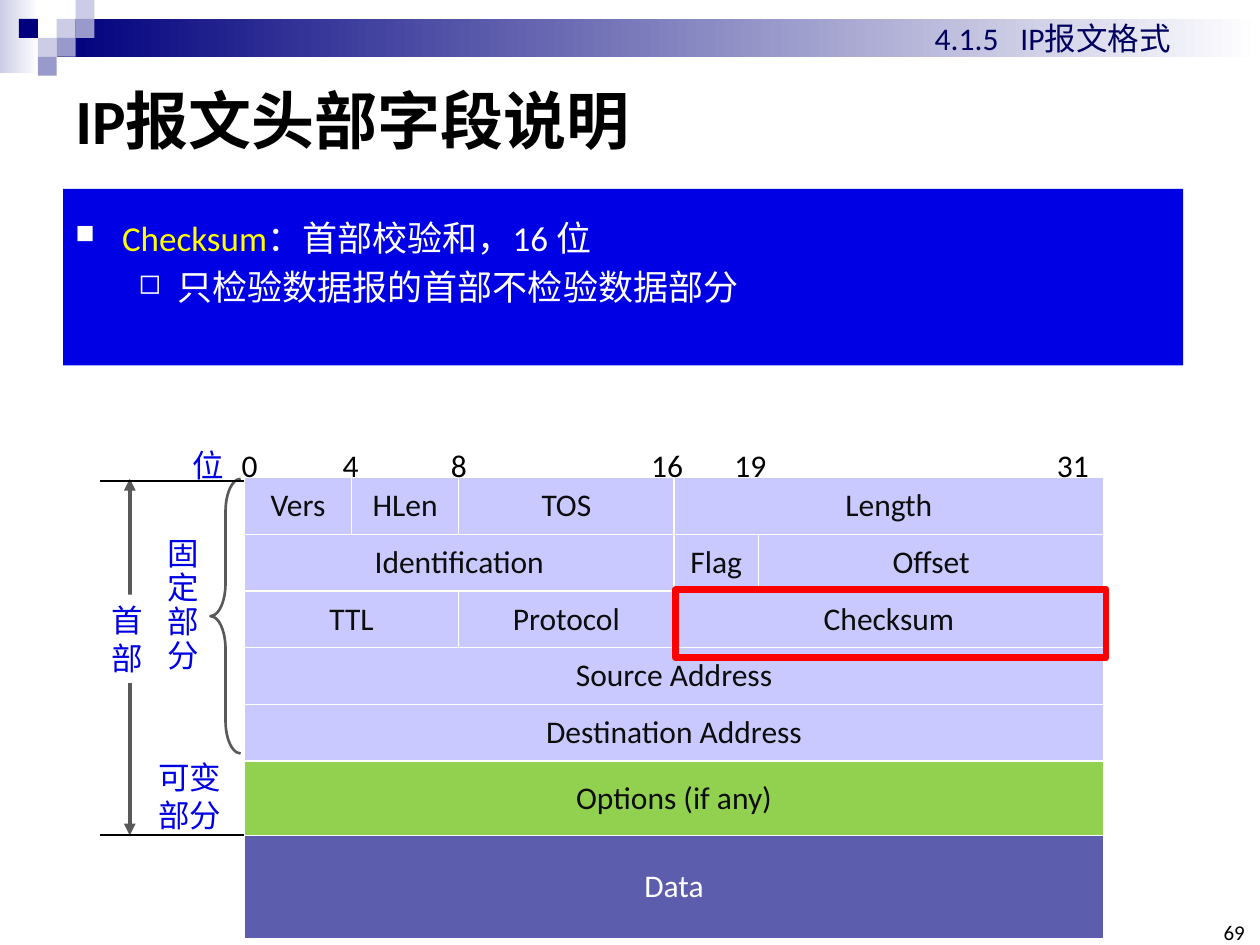
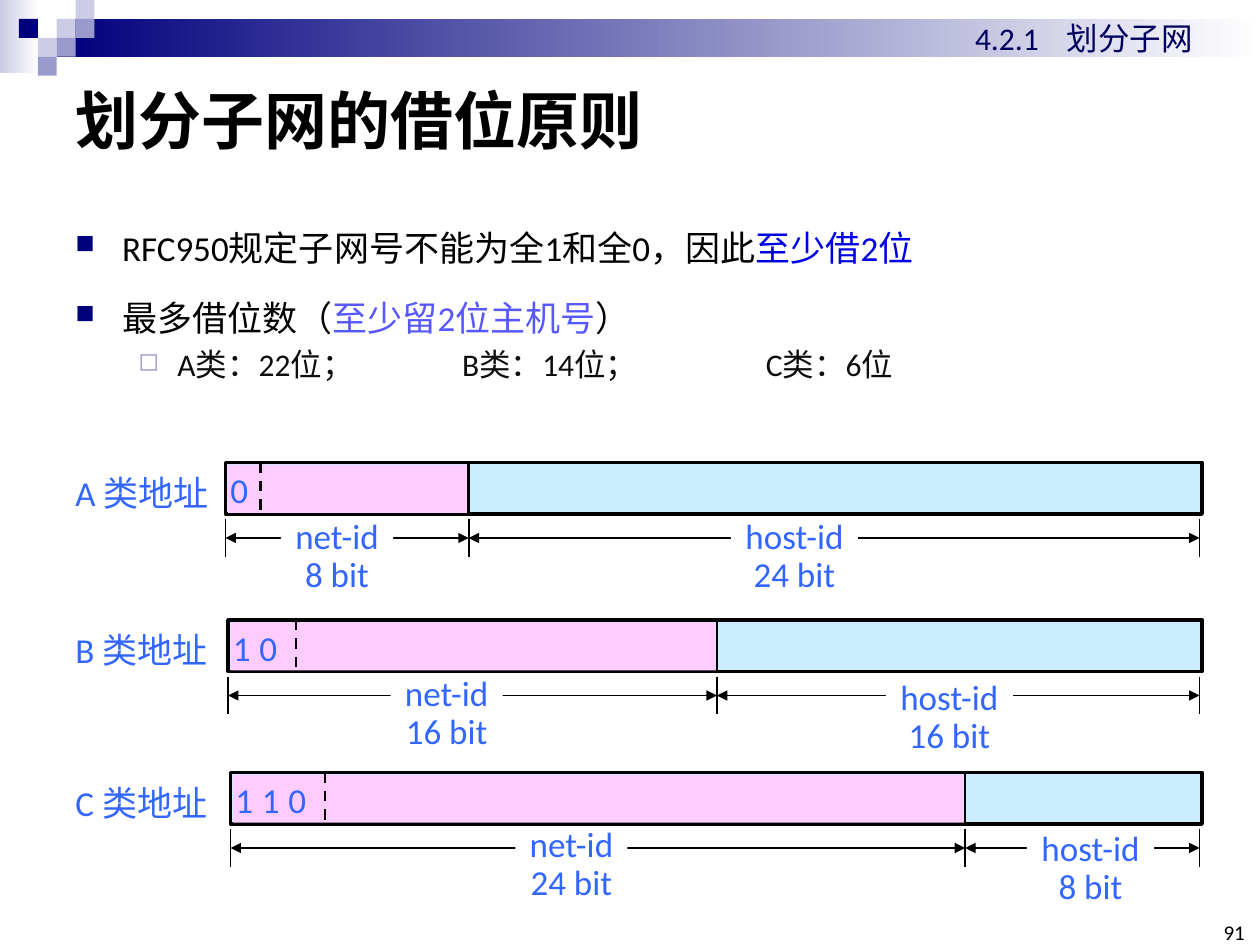
from lxml import etree
from pptx import Presentation
from pptx import util as u
from pptx.dml import color
from pptx.enum import dml, shapes, text
from pptx.oxml import ns

IN = u.Inches
BOX = shapes.MSO_SHAPE.RECTANGLE
MID = text.MSO_ANCHOR.MIDDLE
CENTER = text.PP_ALIGN.CENTER
RIGHT = text.PP_ALIGN.RIGHT
FONT, CJK = "Calibri", "Noto Sans CJK SC"
BLACK, WHITE, NAVY, BLUE = "000000", "FFFFFF", "00007D", "0000E4"
PALE, LILAC, GRAY, INK = "CCCCE6", "9999CC", "595959", "0D0D0D"
FIELD, SKY, PINK, AZURE = "C9C9FF", "CCECFF", "FFCCFF", "3366FF"


def rgb(code):
    return color.RGBColor.from_string(code)


def sub(node, tag, **attrs):
    return etree.SubElement(node, ns.qn("a:" + tag), attrs)


# ---- Basic parts ----
def style(run, size, code, bold=False, face=FONT):
    run.font.size = u.Pt(size)
    run.font.bold = bold
    run.font.color.rgb = rgb(code)
    run.font.name = face
    sub(run._r.get_or_add_rPr(), "ea", typeface=CJK)


def write(frame, lines, size, code, align=None, space=None, **look):
    frame.text = "\n".join(lines)
    for para in frame.paragraphs:
        para.alignment = align
        para.line_spacing = space
        for run in para.runs:
            style(run, size, code, **look)


def label(slide, box, lines, size, code, wrap=False, fill=None,
          anchor=text.MSO_ANCHOR.TOP, inset=None, **look):
    shape = slide.shapes.add_textbox(*map(IN, box))
    frame = shape.text_frame
    frame.word_wrap = wrap
    frame.vertical_anchor = anchor
    if inset is not None:
        frame.margin_left = frame.margin_right = IN(inset)
        frame.margin_top = frame.margin_bottom = IN(inset)
    if fill:
        shape.fill.solid()
        shape.fill.fore_color.rgb = rgb(fill)
    write(frame, lines, size, code, **look)
    return frame


def tabs(para, stops):
    node = sub(para._p.get_or_add_pPr(), "tabLst")
    for stop in stops:
        sub(node, "tab", pos=str(IN(stop)), algn="l")


def block(slide, box, fill=None, line=None, width=1, kind=BOX):
    shape = slide.shapes.add_shape(kind, *map(IN, box))
    shape.shadow.inherit = False
    if fill:
        shape.fill.solid()
        shape.fill.fore_color.rgb = rgb(fill)
    else:
        shape.fill.background()
    if line:
        shape.line.color.rgb = rgb(line)
        shape.line.width = u.Pt(width)
    else:
        shape.line.fill.background()
    return shape


def fade(slide, box, first):
    fill = block(slide, box).fill
    fill.gradient()
    fill.gradient_angle = 0
    for stop, code in zip(fill.gradient_stops, (first, WHITE)):
        stop.color.rgb = rgb(code)


def rule(slide, x1, y1, x2, y2, width=1, code=BLACK, arrows=False, dash=False):
    line = slide.shapes.add_connector(
        shapes.MSO_CONNECTOR.STRAIGHT, IN(x1), IN(y1), IN(x2), IN(y2))
    line.line.color.rgb = rgb(code)
    line.line.width = u.Pt(width)
    if dash:
        line.line.dash_style = dml.MSO_LINE.DASH
    if arrows:
        for end in ("headEnd", "tailEnd"):
            sub(line.line._get_or_add_ln(), end, type="triangle")
    sub(line._element.spPr, "effectLst")


def bullets(frame, items):
    """Each item: level, line spacing, size, [(words, colour)], bullet colour."""
    looks = [("■", 0.37, 0.37, 75), ("◻", 0.81, 0.31, 80)]
    for i, (level, space, size, runs, dot) in enumerate(items):
        para = frame.paragraphs[0] if i == 0 else frame.add_paragraph()
        para.alignment = text.PP_ALIGN.LEFT
        para.level = level
        mark, left, hang, scale = looks[level]
        props = para._p.get_or_add_pPr()
        props.set("marL", str(IN(left)))
        props.set("indent", str(-IN(hang)))
        sub(sub(props, "buClr"), "srgbClr", val=dot)
        sub(props, "buSzPct", val=str(scale * 1000))
        sub(props, "buChar", char=mark)
        para.line_spacing = space
        if i:
            para.space_before = u.Pt(size * 0.2)
        for words, code in runs:
            run = para.add_run()
            run.text = words
            style(run, size, code)


# ---- Shared frame: band, squares, section, title, page number ----
def base(deck, title, section, left, stop, page):
    slide = deck.slides.add_slide(deck.slide_layouts[6])
    fade(slide, (0, 0, 0.31, 0.58), PALE)
    fade(slide, (0.45, 0.15, 9.55, 0.3), NAVY)
    side = 0.15
    for col, row, code in [(3, 1, PALE), (4, 0, PALE), (4, 1, LILAC),
                           (2, 2, PALE), (1, 1, NAVY), (3, 2, LILAC),
                           (2, 3, LILAC)]:
        block(slide, (col * side, row * side, side, side), code)
    label(slide, (0.5, 0.5, 9, 0.89), [title], 36, BLACK, wrap=True,
          anchor=MID, bold=True)
    label(slide, (9.65, 7.33, 0.23, 0.17), [page], 12, BLACK, wrap=True,
          anchor=text.MSO_ANCHOR.BOTTOM, inset=0, align=RIGHT)
    frame = label(slide, (left, 0.1, 9.61 - left, 0.4), [section], 18,
                  "00005E", wrap=True)
    tabs(frame.paragraphs[0], [stop])
    return slide


# ---- Slide 1: header fields ----
def edge(cell):
    props = cell._tc.get_or_add_tcPr()
    for side in ("lnL", "lnR", "lnT", "lnB"):
        line = sub(props, side, w=str(u.Pt(1)))
        sub(sub(line, "solidFill"), "srgbClr", val=WHITE)


def fields(slide, x, y):
    cols = [0.85, 0.85, 1.71, 0.67, 2.74]
    highs = [0.45] * 5 + [0.59, 0.82]
    # Each row lists its words and the columns they span
    rows = [
        [("Vers", 1), ("HLen", 1), ("TOS", 1), ("Length", 2)],
        [("Identification", 3), ("Flag", 1), ("Offset", 1)],
        [("TTL", 2), ("Protocol", 1), ("Checksum", 2)],
        [("Source Address", 5)],
        [("Destination Address", 5)],
        [("Options (if any)", 5)],
        [("Data", 5)],
    ]
    fills = [FIELD] * 5 + ["92D050", "5D5DAE"]
    grid = slide.shapes.add_table(len(rows), len(cols), IN(x), IN(y),
                                  IN(sum(cols)), IN(sum(highs))).table
    grid.first_row = grid.horz_banding = False
    for col, wide in zip(grid.columns, cols):
        col.width = IN(wide)
    for r, row in enumerate(rows):
        grid.rows[r].height = IN(highs[r])
        for cell in grid.rows[r].cells:
            edge(cell)
            cell.fill.solid()
            cell.fill.fore_color.rgb = rgb(fills[r])
        c = 0
        for words, span in row:
            cell = grid.cell(r, c)
            if span > 1:
                cell.merge(grid.cell(r, c + span - 1))
            cell.vertical_anchor = MID
            code = WHITE if words == "Data" else INK
            write(cell.text_frame, [words], 18, code, align=CENTER)
            c += span


def marks(slide, x, y):
    """Bit ruler above the table and the part names left of it."""
    label(slide, (x - 0.71, y + 0.43, 0.45, 1.19), "固定部分", 18, BLUE, space=0.9)
    label(slide, (x - 0.78, y + 2.18, 0.7, 0.7), ["可变", "部分"], 18, BLUE, face=CJK)
    bits = label(slide, (x - 0.12, y - 0.3, 7.11, 0.4),
                 ["\t".join(["0", "4", "8", "16", "19", "31"])], 18, BLACK,
                 wrap=True)
    tabs(bits.paragraphs[0], [0.8, 1.66, 3.25, 3.91, 6.47])
    label(slide, (x - 0.51, y - 0.3, 0.45, 0.4), ["位"], 18, BLUE)
    rule(slide, x - 0.91, y + 0.01, x - 0.91, y + 2.84, 2.25, GRAY, arrows=True)
    label(slide, (x - 1.15, y + 0.93, 0.45, 0.7), "首部", 18, BLUE, fill=WHITE)
    brace = block(slide, (x - 0.27, y + 0.01, 0.24, 2.18), line=GRAY, width=1.5,
                  kind=shapes.MSO_SHAPE.LEFT_BRACE)
    brace.adjustments[0] = 1.08
    for level in (y + 0.03, y + 2.84):
        rule(slide, x - 1.15, level, x, level, 1.25)


def header(deck):
    slide = base(deck, "IP报文头部字段说明", "4.1.5\tIP报文格式", 7.32, 0.68, "69")
    x, y = 1.94, 3.79
    fields(slide, x, y)
    marks(slide, x, y)
    # Blue note
    frame = block(slide, (0.5, 1.5, 8.89, 1.4), BLUE).text_frame
    frame.word_wrap = True
    frame.vertical_anchor = text.MSO_ANCHOR.TOP
    bullets(frame, [
        (0, 1.5, 20, [("Checksum", "FFFF00"), ("：首部校验和，16 位", WHITE)], WHITE),
        (1, None, 20, [("只检验数据报的首部不检验数据部分", WHITE)], WHITE),
    ])
    # Red frame round the checksum cell
    block(slide, (x + 3.42, y + 0.89, 3.42, 0.54), line="FF0000", width=3.75)


# ---- Slide 2: subnet bits ----
def address(slide, x, y, name, bits, dash, split, net, host):
    """One bar; net and host give the left, drop and size of their labels."""
    end, high = 9.54, 0.41
    # Dimension arrows, broken by their labels
    for a, b, wide, words, (left, drop, size) in [
            (x, split, 0.89, "net-id", net),
            (split, end - 0.02, 1.01, "host-id", host)]:
        rule(slide, a, y + 0.6, b, y + 0.6, arrows=True)
        label(slide, (left, y + drop, wide, 0.7), [words, f"{size} bit"], 20,
              AZURE, fill=WHITE, align=CENTER, space=0.9)
    # Bar
    block(slide, (x, y, end - x, high), SKY, BLACK, 2)
    block(slide, (x + 0.02, y + 0.02, split - x - 0.03, high - 0.03), PINK)
    rule(slide, dash, y, dash, y + high, 1.5, dash=True)
    rule(slide, split, y, split, y + high, 1.5)
    for tick in (x, split, end - 0.02):
        rule(slide, tick, y + 0.45, tick, y + 0.75)
    # Words
    label(slide, (0.5, y + 0.02, 1.28, 0.43), [name + " 类地址"], 20, AZURE, wrap=True)
    for i, bit in enumerate(bits):
        label(slide, (x - 0.06 + 0.21 * i, y, 0.34, 0.43), [bit], 20, AZURE)


def subnet(deck):
    slide = base(deck, "划分子网的借位原则", "4.2.1\t划分子网", 7.64, 0.73, "91")
    frame = label(slide, (0.5, 1.58, 9.38, 2.03), [], 20, BLACK, wrap=True)
    bullets(frame, [
        (0, 1.5, 20, [("RFC950规定子网号不能为全1和全0，因此", BLACK),
                      ("至少借2位", BLUE)], NAVY),
        (0, 1.5, 20, [("最多借位数（", BLACK), ("至少留2位主机号", "5858FF"),
                      ("）", BLACK)], NAVY),
        (1, None, 18, [("A类：22位；", INK)], LILAC),
    ])
    for left, words in [(3.57, "B类：14位；"), (5.98, "C类：6位")]:
        label(slide, (left, 2.69, 1.8, 0.4), [words], 18, INK, wrap=True)
    address(slide, 1.79, 3.67, "A", "0", 2.07, 3.72, (2.23, 0.4, 8), (5.8, 0.4, 24))
    address(slide, 1.81, 4.92, "B", "10", 2.35, 5.69, (3.1, 0.4, 16), (7.03, 0.43, 16))
    address(slide, 1.83, 6.13, "C", "110", 2.58, 7.66, (4.09, 0.39, 24), (8.15, 0.42, 8))


def main():
    deck = Presentation()
    deck.slide_width, deck.slide_height = IN(10), IN(7.5)
    header(deck)
    subnet(deck)
    deck.save("out.pptx")


if __name__ == "__main__":
    main()
